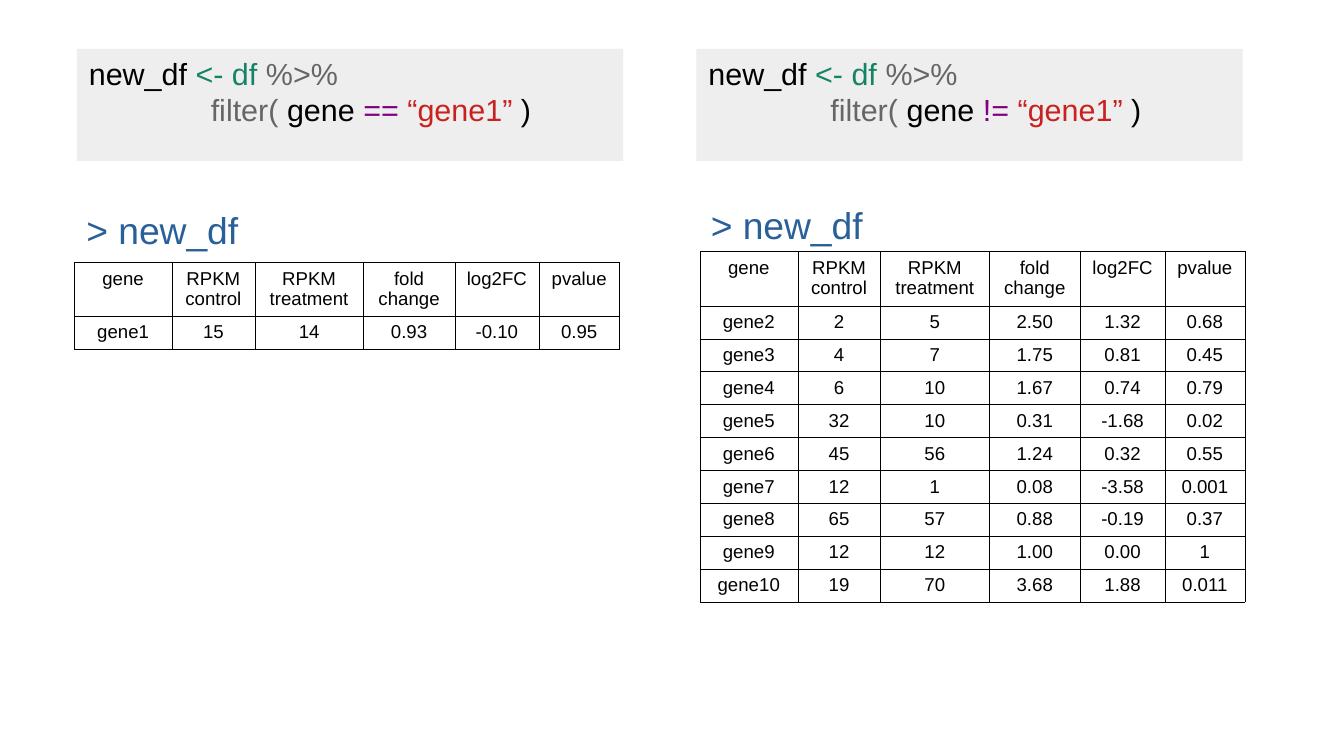
from lxml import etree
from pptx import Presentation
from pptx import util as u
from pptx.dml.color import RGBColor
from pptx.enum import shapes, text
from pptx.oxml import ns

COLORS = {
    "panel": "EEEEEE", "paper": "FFFFFF", "ink": "000000", "assign": "158466",
    "call": "666666", "operator": "800080", "string": "C9211E", "prompt": "2A6099",
}
COLUMN_WIDTHS = [0.8, 0.68, 0.89, 0.75, 0.69, 0.66]
HEADER_HEIGHT, ROW_HEIGHT = 0.44, 0.27
# Slightly tight margins keep "log2FC" on one line and the rows at their height
CELL_FORMAT = {
    "margin_left": u.Inches(0.08), "margin_right": u.Inches(0.08),
    "margin_top": u.Inches(0.05), "margin_bottom": u.Inches(0.03),
}
HEADER = ["gene", "RPKM control", "RPKM treatment", "fold change", "log2FC", "pvalue"]
MATCHING = [["gene1", "15", "14", "0.93", "-0.10", "0.95"]]
REMAINING = [
    ["gene2", "2", "5", "2.50", "1.32", "0.68"],
    ["gene3", "4", "7", "1.75", "0.81", "0.45"],
    ["gene4", "6", "10", "1.67", "0.74", "0.79"],
    ["gene5", "32", "10", "0.31", "-1.68", "0.02"],
    ["gene6", "45", "56", "1.24", "0.32", "0.55"],
    ["gene7", "12", "1", "0.08", "-3.58", "0.001"],
    ["gene8", "65", "57", "0.88", "-0.19", "0.37"],
    ["gene9", "12", "12", "1.00", "0.00", "1"],
    ["gene10", "19", "70", "3.68", "1.88", "0.011"],
]


def rgb(name):
    return RGBColor.from_string(COLORS[name])


def inches(box):
    return [u.Inches(length) for length in box]


def apply_format(target, values):
    for attribute, value in values.items():
        setattr(target, attribute, value)


def add_words(paragraph, words, color, size):
    run = paragraph.add_run()
    run.text = words
    apply_format(run.font, {"name": "Arial", "size": u.Pt(size), "bold": False})
    run.font.color.rgb = rgb(color)


def add_tab_stop(paragraph, position):
    stops = etree.SubElement(paragraph._p.get_or_add_pPr(), ns.qn("a:tabLst"))
    etree.SubElement(stops, ns.qn("a:tab"), pos=str(u.Inches(position)), algn="l")


def add_border(cell):
    properties = cell._tc.get_or_add_tcPr()
    for side in ("lnL", "lnR", "lnT", "lnB"):
        line = etree.SubElement(properties, ns.qn(f"a:{side}"), w=str(u.Pt(0.06)))
        fill = etree.SubElement(line, ns.qn("a:solidFill"))
        etree.SubElement(fill, ns.qn("a:srgbClr"), val=COLORS["ink"])


# Grey panel with the two lines of code
def code_panel(slide, box, operator):
    panel = slide.shapes.add_shape(shapes.MSO_SHAPE.RECTANGLE, *inches(box))
    panel.shadow.inherit = False
    panel.fill.solid()
    panel.fill.fore_color.rgb = rgb("panel")
    panel.line.fill.background()
    frame = panel.text_frame
    apply_format(frame, {"word_wrap": True, "vertical_anchor": text.MSO_ANCHOR.TOP})
    code = [
        [("new_df", "ink"), (" <- df ", "assign"), ("%>%", "call")],
        [("\tfilter( ", "call"), ("gene ", "ink"), (f"{operator} ", "operator"),
         ("“gene1” ", "string"), (")", "ink")],
    ]
    for number, line in enumerate(code):
        paragraph = frame.add_paragraph() if number else frame.paragraphs[0]
        paragraph.alignment = text.PP_ALIGN.LEFT
        add_tab_stop(paragraph, 1)
        for words, color in line:
            add_words(paragraph, words, color, 18)


# Console prompt above the result
def prompt(slide, box):
    frame = slide.shapes.add_textbox(*inches(box)).text_frame
    frame.word_wrap = True
    add_words(frame.paragraphs[0], "> new_df", "prompt", 22)


# Filtered data frame
def result_table(slide, left, top, records):
    rows = [HEADER] + records
    height = HEADER_HEIGHT + ROW_HEIGHT * len(records)
    box = inches((left, top, sum(COLUMN_WIDTHS), height))
    table = slide.shapes.add_table(len(rows), len(HEADER), *box).table
    apply_format(table, {"first_row": False, "horz_banding": False})
    for column, width in zip(table.columns, COLUMN_WIDTHS):
        column.width = u.Inches(width)
    for number, (row, values) in enumerate(zip(table.rows, rows)):
        row.height = u.Inches(ROW_HEIGHT if number else HEADER_HEIGHT)
        for cell, value in zip(row.cells, values):
            apply_format(cell, CELL_FORMAT)
            add_border(cell)
            cell.fill.solid()
            cell.fill.fore_color.rgb = rgb("paper")
            paragraph = cell.text_frame.paragraphs[0]
            paragraph.alignment = text.PP_ALIGN.CENTER
            add_words(paragraph, value, "ink", 11)


# One half of the slide: code, prompt and result
def filter_example(slide, code_left, prompt_at, table_at, operator, records):
    code_panel(slide, (code_left, 0.4, 4.48, 0.92), operator)
    result_table(slide, *table_at, records)
    prompt(slide, (*prompt_at, 1.63, 0.44))


def main():
    deck = Presentation()
    apply_format(deck, {"slide_width": u.Inches(11.02), "slide_height": u.Inches(6.2)})
    slide = deck.slides.add_slide(deck.slide_layouts[6])
    filter_example(slide, 0.63, (0.61, 1.65), (0.61, 2.15), "==", MATCHING)
    filter_example(slide, 5.71, (5.73, 1.61), (5.74, 2.06), "!=", REMAINING)
    deck.save("out.pptx")


if __name__ == "__main__":
    main()
